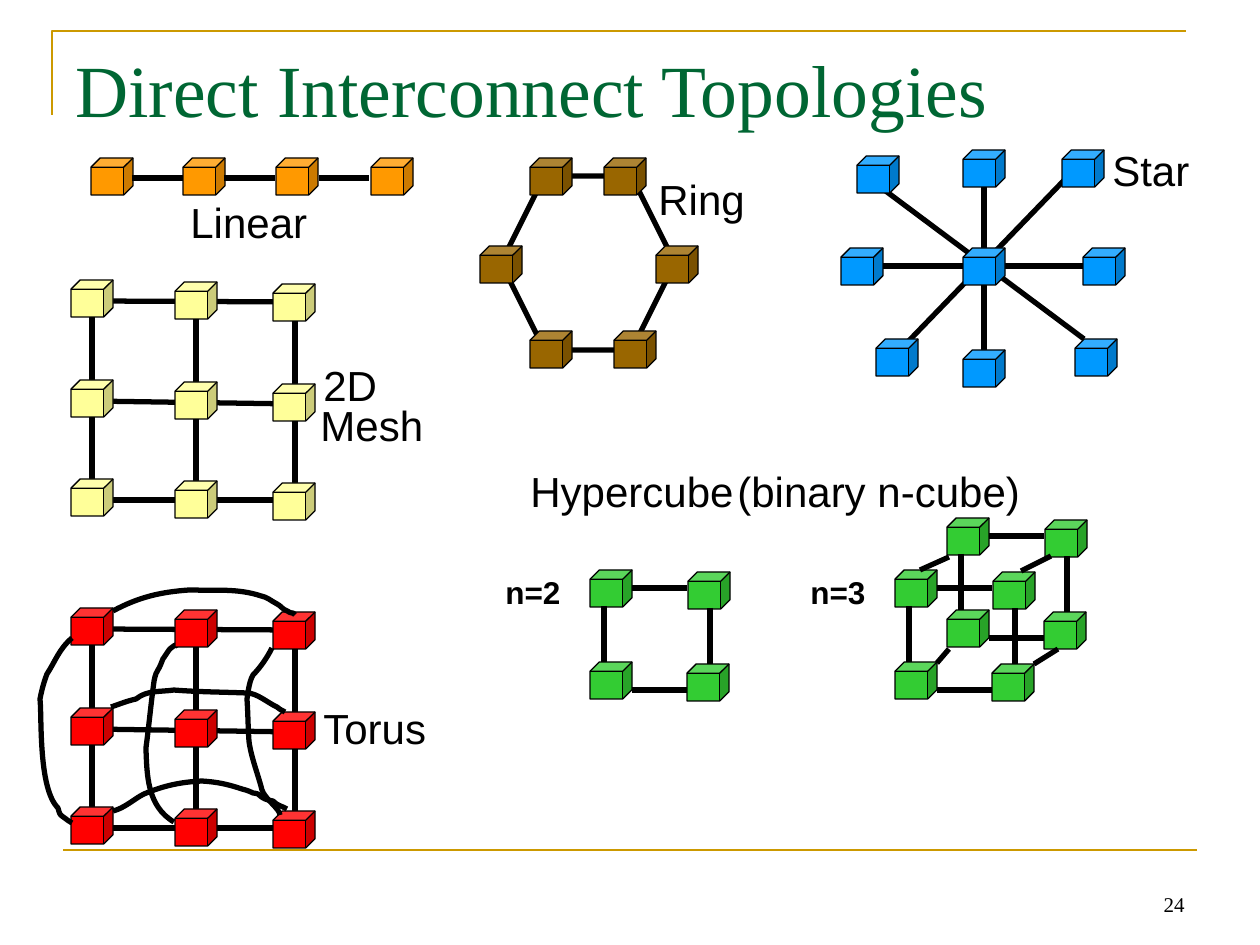
from lxml import etree
from pptx import Presentation
from pptx.dml.color import RGBColor
from pptx.enum.shapes import MSO_CONNECTOR, MSO_SHAPE
from pptx.enum.text import MSO_ANCHOR, PP_ALIGN
from pptx.oxml.ns import qn
from pptx.util import Pt

PX = 914400 / 126
CUBE_SIZE = (42, 37)
COLORS = {
    "gold": "CC9900", "title": "006633", "black": "000000", "orange": "FF9900",
    "brown": "996600", "blue": "0099FF", "yellow": "FFFF99", "red": "FF0000",
    "green": "33CC33",
}

# Text, left, top, width
LABELS = [
    ("Linear", 178, 190, 144), ("Ring", 646, 167, 129), ("Star", 1100, 138, 125),
    ("Mesh", 308, 393, 145), ("2D", 311, 353, 137), ("Torus", 311, 696, 141),
    ("Hypercube", 518, 459, 256), ("(binary n-cube)", 725, 459, 334),
]
DIMENSION_LABELS = [("n=2", 493, 567, 96), ("n=3", 798, 567, 96)]

LINEAR_CUBES = [(x, 158) for x in (91, 183, 276, 371)]
LINEAR_LINKS = [(132, 178, 183, 178), (224, 178, 275, 178), (319, 178, 369, 178)]

RING_HEXAGON = (501, 176, 174, 174)
RING_CUBES = [(530, 331), (604, 158), (656, 246), (614, 331), (530, 158), (480, 246)]

STAR_CUBES = [
    (1075, 339), (963, 350), (841, 248), (857, 156), (963, 248),
    (963, 150), (1083, 248), (1062, 150), (876, 339),
]
STAR_LINKS = [
    (900, 350, 1075, 169), (883, 189, 1084, 339),
    (984, 169, 984, 350), (876, 266, 1091, 266),
]

MESH_COLUMNS = [(71, 0), (175, 2), (273, 4)]  # left, drop
MESH_ROWS = [280, 380, 479]
MESH_CUBES = [(x, y + drop) for y in MESH_ROWS for x, drop in MESH_COLUMNS]
MESH_LINKS = [
    (92, 301, 295, 302), (89, 401, 296, 404), (91, 500, 295, 500),
    (92, 301, 92, 500), (196, 302, 196, 503), (295, 299, 295, 498),
]
TORUS_DROP = 328
# Start point, then two control points and an end point per Bezier segment
TORUS_WRAPS = [
    [(113, 611), (139, 597), (161, 592), (190, 590), (214, 591), (237, 588),
     (261, 596), (267, 597), (271, 601), (277, 604), (281, 606), (282, 609),
     (287, 611), (296, 616), (290, 610), (295, 615)],
    [(111, 707), (120, 704), (127, 701), (136, 699), (147, 690), (160, 692),
     (174, 690), (199, 692), (223, 692), (247, 693), (257, 693), (268, 703),
     (277, 707), (282, 711), (280, 709), (285, 712)],
    [(113, 811), (125, 808), (134, 799), (144, 794), (163, 786), (180, 782),
     (202, 781), (217, 782), (227, 784), (242, 789), (246, 790), (249, 791),
     (253, 793), (255, 793), (258, 794), (258, 794), (263, 799), (267, 800),
     (273, 801), (278, 806), (282, 806), (287, 809)],
    [(72, 638), (59, 649), (55, 662), (47, 674), (44, 682), (42, 689),
     (40, 699), (42, 716), (38, 788), (58, 808), (60, 815), (59, 814),
     (66, 819), (67, 820), (72, 823), (72, 823)],
    [(180, 640), (170, 654), (183, 638), (170, 649), (168, 651), (166, 655),
     (163, 659), (163, 660), (161, 663), (161, 664), (160, 667), (159, 668),
     (158, 670), (155, 674), (154, 682), (154, 682), (151, 704), (149, 726),
     (146, 748), (147, 775), (147, 806), (174, 822)],
    [(272, 648), (267, 658), (260, 668), (253, 675), (249, 682), (248, 693),
     (247, 699), (248, 713), (248, 727), (249, 741), (251, 757), (258, 774),
     (262, 790), (265, 799), (280, 809), (280, 815)],
]

SQUARE_CUBES = [(98, 2), (0, 0), (97, 94), (0, 92)]
SQUARE_LINKS = [
    (42, 18, 97, 18), (42, 120, 97, 120), (14, 36, 14, 92), (120, 38, 120, 94),
]
SQUARE_ORIGINS = [(590, 570), (895, 570), (947, 518)]
DEPTH_LINKS = [
    (1034, 664, 1058, 649), (937, 663, 949, 649),
    (920, 570, 949, 557), (1021, 571, 1051, 556),
]


def emu(*lengths):
    return [round(length * PX) for length in lengths]


def rgb(name):
    return RGBColor.from_string(COLORS[name])


def style(shape, fill=None, line="black", width=3):
    shape.shadow.inherit = False
    if fill:
        shape.fill.solid()
        shape.fill.fore_color.rgb = rgb(fill)
    else:
        shape.fill.background()
    shape.line.color.rgb = rgb(line)
    shape.line.width = Pt(width)


def add_text(shapes, text, left, top, width, height=63, size=24, font="Arial",
             color="black", bold=False, align=PP_ALIGN.LEFT,
             anchor=MSO_ANCHOR.TOP):
    frame = shapes.add_textbox(*emu(left, top, width, height)).text_frame
    frame.word_wrap = True
    frame.vertical_anchor = anchor
    paragraph = frame.paragraphs[0]
    paragraph.alignment = align
    run = paragraph.add_run()
    run.text = text
    run.font.size = Pt(size)
    run.font.name = font
    run.font.bold = bold
    run.font.color.rgb = rgb(color)


def add_links(shapes, links, dx=0, dy=0, color="black", width=3):
    for x1, y1, x2, y2 in links:
        link = shapes.add_connector(
            MSO_CONNECTOR.STRAIGHT, *emu(x1 + dx, y1 + dy, x2 + dx, y2 + dy))
        link.line.color.rgb = rgb(color)
        link.line.width = Pt(width)
        etree.SubElement(link._element.spPr, qn("a:effectLst"))


def add_cubes(shapes, corners, color, dx=0, dy=0):
    for x, y in corners:
        cube = shapes.add_shape(MSO_SHAPE.CUBE, *emu(x + dx, y + dy, *CUBE_SIZE))
        style(cube, fill=color, width=0.75)


def add_path(shapes, points, **line):
    start, *rest = [emu(*point) for point in points]
    builder = shapes.build_freeform(*start)
    builder.add_line_segments(rest, close=False)
    shape = builder.convert_to_shape()
    style(shape, **line)
    return shape


def add_curve(shapes, points):
    """Draw a path whose every three segments become one cubic Bezier."""
    outline = next(add_path(shapes, points)._element.iter(qn("a:path")))
    segments = outline.findall(qn("a:lnTo"))
    for first in range(0, len(segments), 3):
        bezier = etree.SubElement(outline, qn("a:cubicBezTo"))
        for segment in segments[first:first + 3]:
            bezier.append(segment[0])
            outline.remove(segment)


def main():
    presentation = Presentation()
    presentation.slide_width, presentation.slide_height = emu(1260, 945)
    slide = presentation.slides.add_slide(presentation.slide_layouts[6])
    shapes = slide.shapes

    add_path(shapes, [(52, 115), (52, 31), (1186, 31)], line="gold", width=1.5)
    add_links(shapes, [(63, 850, 1197, 850)], color="gold", width=1.5)
    add_text(shapes, "24", 903, 860, 294, size=12, font="Times New Roman",
             align=PP_ALIGN.RIGHT, anchor=MSO_ANCHOR.BOTTOM)
    add_text(shapes, "Direct Interconnect Topologies", 63, 38, 1134, height=125,
             size=42, font="Times New Roman", color="title")

    add_cubes(shapes, LINEAR_CUBES, "orange")
    add_links(shapes, LINEAR_LINKS)

    style(shapes.add_shape(MSO_SHAPE.HEXAGON, *emu(*RING_HEXAGON)))
    add_cubes(shapes, RING_CUBES, "brown")

    add_links(shapes, STAR_LINKS)
    add_cubes(shapes, STAR_CUBES, "blue")

    top_middle = MESH_CUBES[1]
    others = [cube for cube in MESH_CUBES if cube != top_middle]
    for color, drop, wraps in (("yellow", 0, []), ("red", TORUS_DROP, TORUS_WRAPS)):
        add_links(shapes, MESH_LINKS, dy=drop)
        add_cubes(shapes, others, color, dy=drop)
        for wrap in wraps:
            add_curve(shapes, wrap)
        add_cubes(shapes, [top_middle], color, dy=drop)

    for dx, dy in SQUARE_ORIGINS:
        add_cubes(shapes, SQUARE_CUBES, "green", dx, dy)
        add_links(shapes, SQUARE_LINKS, dx, dy)
    add_links(shapes, DEPTH_LINKS)

    for label in LABELS:
        add_text(shapes, *label)
    for label in DIMENSION_LABELS:
        add_text(shapes, *label, height=50, size=18, bold=True)

    presentation.save("out.pptx")


if __name__ == "__main__":
    main()
